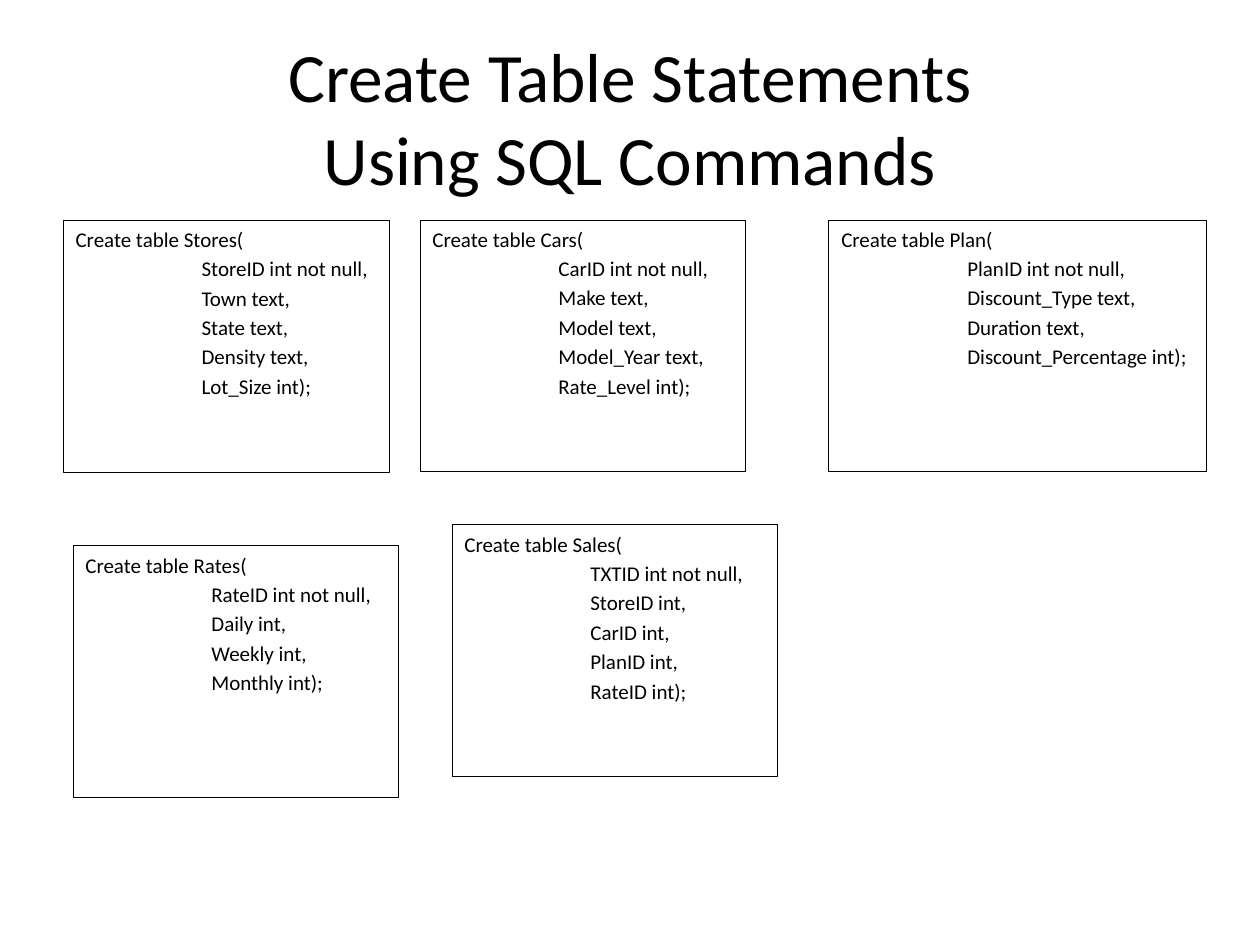
from dataclasses import dataclass

from lxml import etree
from pptx import Presentation
from pptx.dml.color import RGBColor
from pptx.enum.shapes import MSO_SHAPE
from pptx.enum.text import MSO_ANCHOR, MSO_AUTO_SIZE, PP_ALIGN
from pptx.oxml.ns import qn
from pptx.util import Pt

RECT = MSO_SHAPE.RECTANGLE
TOP, MIDDLE = MSO_ANCHOR.TOP, MSO_ANCHOR.MIDDLE
LEFT, CENTER = PP_ALIGN.LEFT, PP_ALIGN.CENTER
NO_FIT = MSO_AUTO_SIZE.NONE

PX = 914400 // 126  # EMU in one px
COLORS = {"ink": "000000"}
FONT = "Calibri"
TAB = 126  # column indent, px


@dataclass
class Statement:
    table: str
    columns: list[str]
    x: int
    y: int
    w: int = 326
    h: int = 252


STATEMENTS = [
    Statement("Stores", ["StoreID int not null", "Town text", "State text",
                         "Density text", "Lot_Size int"], 63, 220),
    Statement("Cars", ["CarID int not null", "Make text", "Model text",
                       "Model_Year text", "Rate_Level int"], 420, 220),
    Statement("Plan", ["PlanID int not null", "Discount_Type text", "Duration text",
                       "Discount_Percentage int"], 829, 220, w=378),
    Statement("Rates", ["RateID int not null", "Daily int", "Weekly int",
                        "Monthly int"], 73, 546),
    Statement("Sales", ["TXTID int not null", "StoreID int", "CarID int",
                        "PlanID int", "RateID int"], 452, 525),
]


def color(name: str) -> RGBColor:
    return RGBColor.from_string(COLORS[name])


def place(sp, x: int, y: int, w: int, h: int) -> None:
    sp.left, sp.top, sp.width, sp.height = (v * PX for v in (x, y, w, h))


def add_run(p, text: str, size: float) -> None:
    r = p.add_run()
    r.text = text
    r.font.name, r.font.size = FONT, Pt(size)
    r.font.color.rgb = color("ink")


def format_code_line(p, indent: int) -> None:
    """Line without bullet; a leading tab jumps to the hanging indent."""
    p.alignment = LEFT
    p.space_before = Pt(2.4)
    pPr = p._p.get_or_add_pPr()
    pPr.set("marL", str(indent * PX))
    pPr.set("indent", str(-indent * PX))
    pPr.set("defTabSz", str(TAB * PX))
    etree.SubElement(pPr, qn("a:buNone"))


def draw_statement(sp, st: Statement) -> None:
    place(sp, st.x, st.y, st.w, st.h)
    sp.fill.background()
    sp.line.color.rgb = color("ink")
    sp.line.width = Pt(0.5)
    tf = sp.text_frame
    tf.word_wrap, tf.auto_size, tf.vertical_anchor = True, NO_FIT, TOP
    last = len(st.columns) - 1
    lines = [f"Create table {st.table}("]
    lines += [f"\t{c}{');' if i == last else ','}" for i, c in enumerate(st.columns)]
    for i, line in enumerate(lines):
        p = tf.add_paragraph() if i else tf.paragraphs[0]
        format_code_line(p, TAB if i else 0)
        add_run(p, line, 12)


def draw_title(sp, lines: list[str]) -> None:
    place(sp, 63, 37, 1134, 158)
    tf = sp.text_frame
    tf.word_wrap, tf.auto_size, tf.vertical_anchor = True, NO_FIT, MIDDLE
    p = tf.paragraphs[0]
    p.alignment = CENTER
    for i, line in enumerate(lines):
        if i:
            p.add_line_break()
        add_run(p, line, 39.6)


def main() -> None:
    prs = Presentation()
    prs.slide_width, prs.slide_height = 1260 * PX, 945 * PX
    s = prs.slides.add_slide(prs.slide_layouts[1])

    # Title
    draw_title(s.shapes.title, ["Create Table Statements", "Using SQL Commands"])

    # First statement in the body placeholder, the others in rectangles
    first, *others = STATEMENTS
    draw_statement(s.placeholders[1], first)
    for st in others:
        sp = s.shapes.add_shape(RECT, 0, 0, PX, PX)
        sp.shadow.inherit = False
        draw_statement(sp, st)

    prs.save("out.pptx")


if __name__ == "__main__":
    main()
